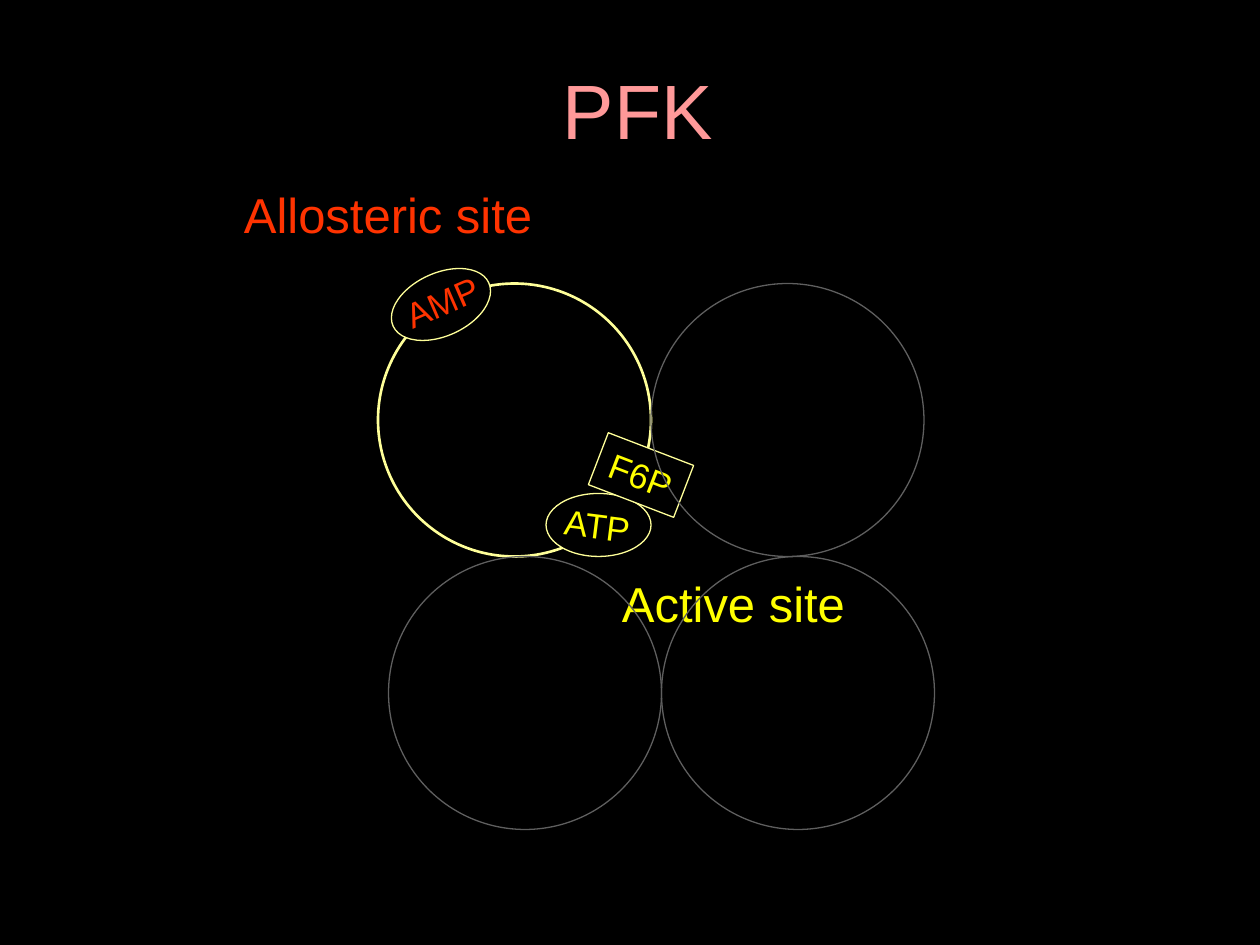
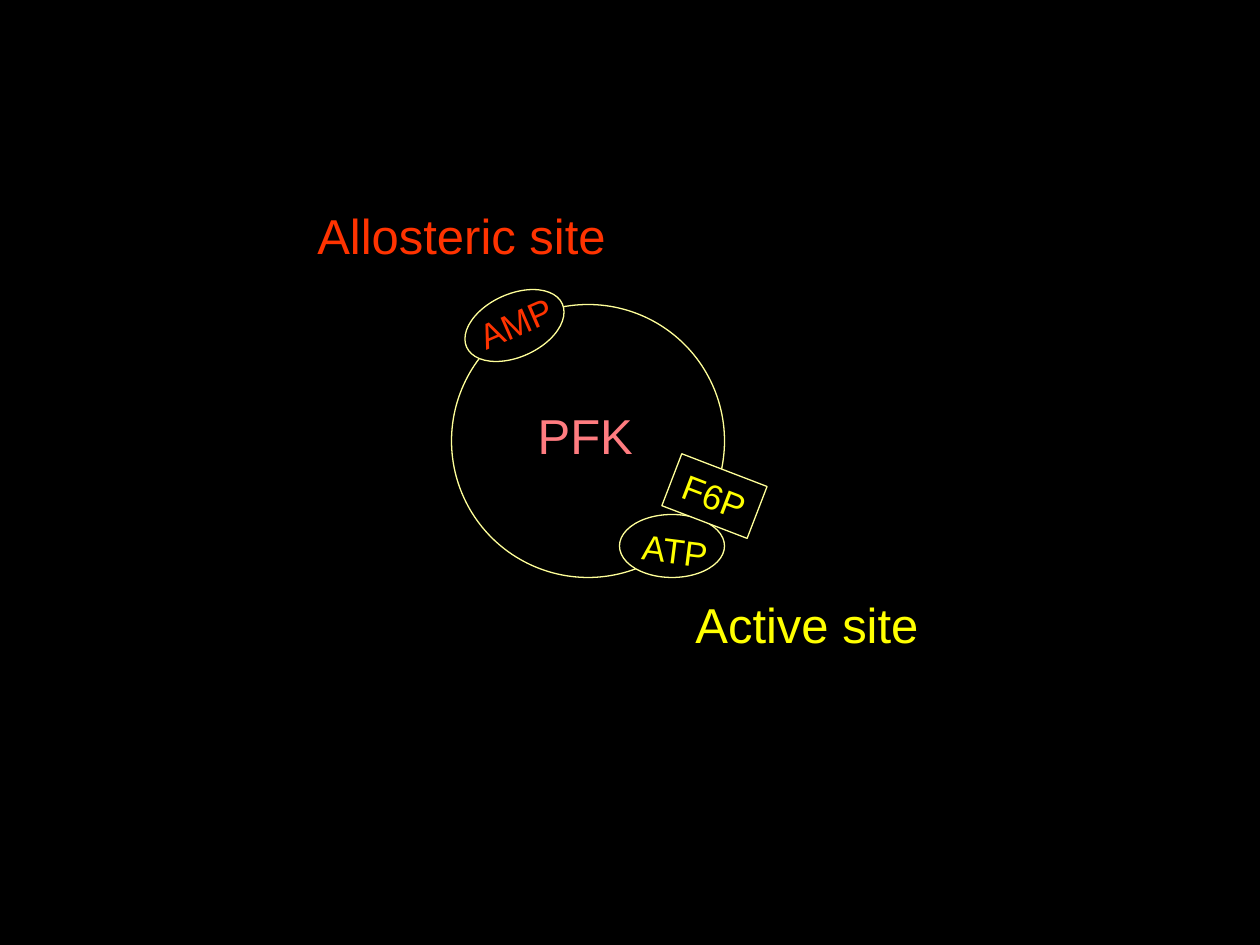
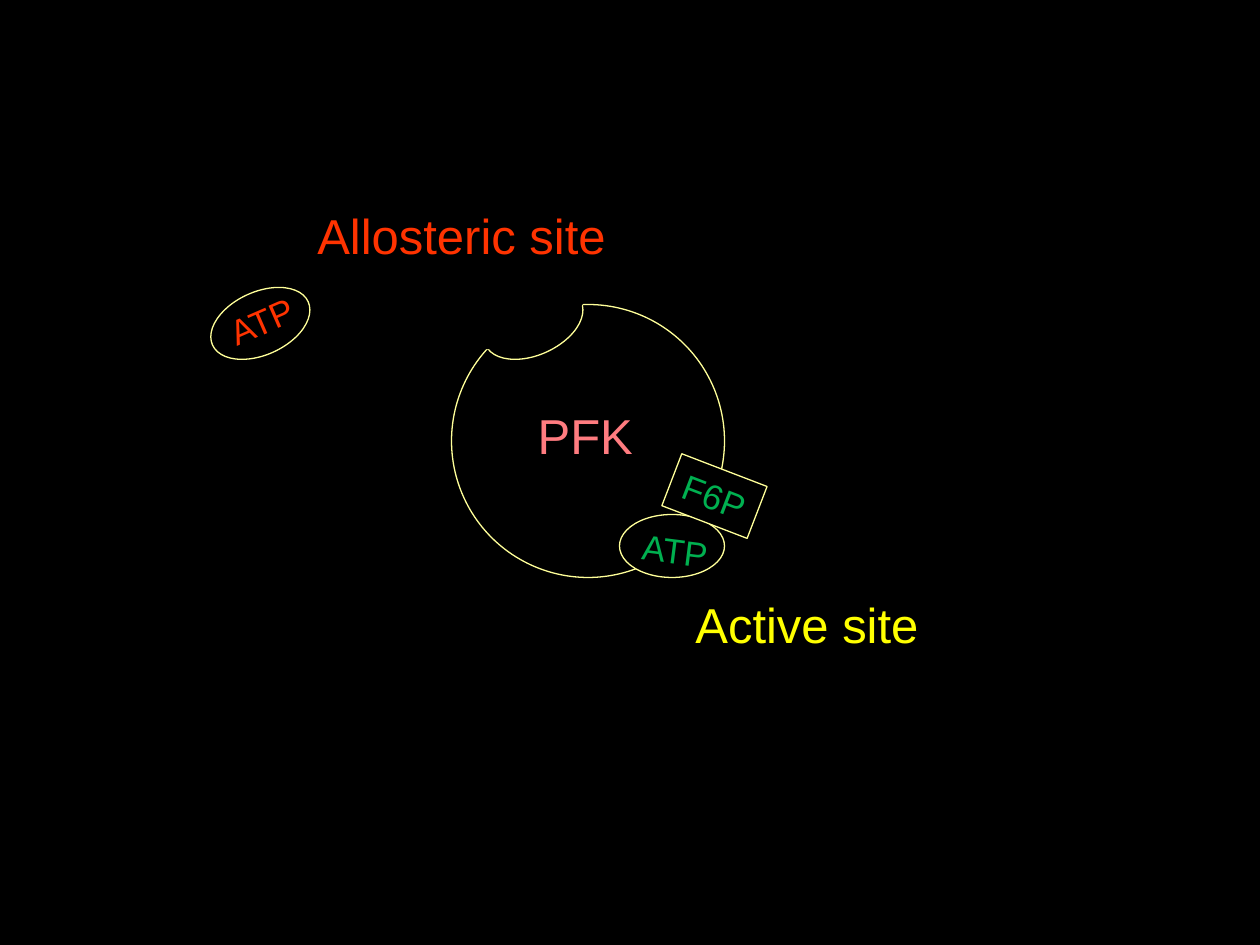
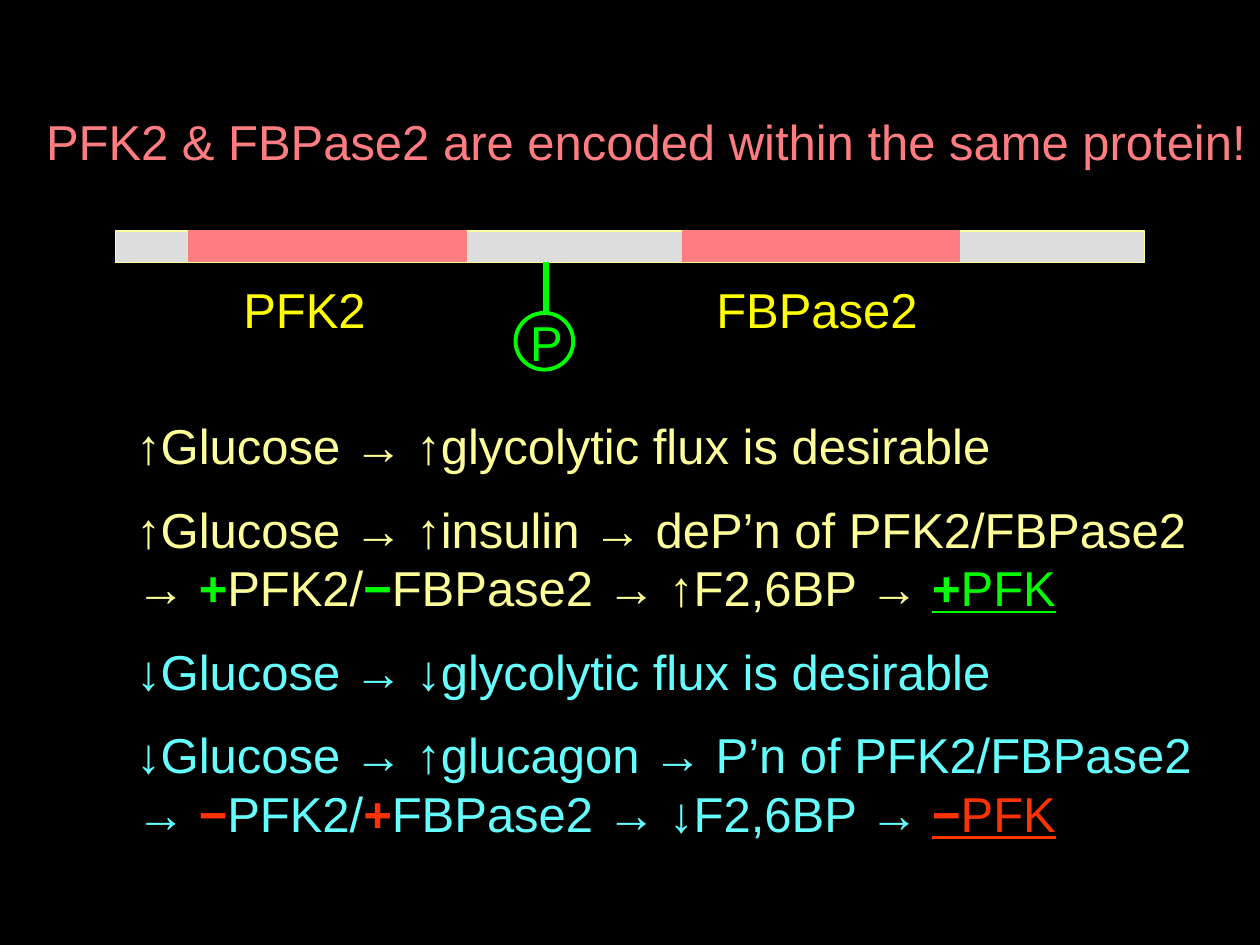
from dataclasses import dataclass

from lxml.etree import SubElement
from pptx import Presentation
from pptx.dml.color import RGBColor
from pptx.enum.shapes import MSO_CONNECTOR as Connector, MSO_SHAPE as Preset
from pptx.enum.text import MSO_AUTO_SIZE as AutoSize, PP_ALIGN as Align
from pptx.oxml.ns import qn
from pptx.util import Inches, Pt

SLIDE_WIDTH, SLIDE_HEIGHT = Inches(10), Inches(7.5)
COLUMNS, ROWS = 120, 90


@dataclass(frozen=True)
class Theme:
    font: str = "Arial"
    title_size: int = 44
    text_size: int = 28
    ligand_size: int = 20
    line_height: float = 6.8
    ligand_height: float = 5.2
    thin: float = 0.75
    bold: float = 1.5
    ring: float = 2.25
    stem: float = 3
    ground: str = "000000"
    outline: str = "FFFF99"
    neighbour: str = "5F5F5F"
    title: str = "FF9999"
    enzyme: str = "FF7C80"
    allosteric: str = "FF3300"
    active: str = "FFFF00"
    bound: str = "00B050"
    linker: str = "DDDDDD"
    phosphate: str = "00FF00"
    fed: str = "FFFF99"
    fasted: str = "66FFFF"


THEME = Theme()


@dataclass(frozen=True)
class Box:
    col: float
    row: float
    cols: float
    rows: float

    def inner(self, col, row, cols, rows):
        return Box(self.col + col, self.row + row, cols, rows)

    def emu(self):
        return (across(self.col), down(self.row), across(self.cols), down(self.rows))


@dataclass(frozen=True)
class Words:
    text: str
    color: str
    size: float = THEME.text_size
    bold: bool = False
    underline: bool = False


def across(cols):
    return round(SLIDE_WIDTH * cols / COLUMNS)


def down(rows):
    return round(SLIDE_HEIGHT * rows / ROWS)


def rgb(color):
    return RGBColor.from_string(color)


def add_words(paragraph, words):
    run = paragraph.add_run()
    run.text = words.text
    font = run.font
    font.name, font.size = THEME.font, Pt(words.size)
    font.bold, font.underline = words.bold, words.underline
    font.color.rgb = rgb(words.color)


def open_paragraph(paragraph, align):
    paragraph.alignment = align
    before = SubElement(paragraph._p.get_or_add_pPr(), qn("a:spcBef"))
    SubElement(before, qn("a:spcPct")).set("val", "50000")


def write_line(frame, words):
    frame.word_wrap = False
    frame.auto_size = AutoSize.SHAPE_TO_FIT_TEXT
    open_paragraph(frame.paragraphs[0], Align.CENTER)
    add_words(frame.paragraphs[0], words)


def label(shapes, box, words, turn=0):
    caption = shapes.add_textbox(*box.emu())
    caption.rotation = turn
    write_line(caption.text_frame, words)


def figure(shapes, preset, box, line, fill=None, weight=THEME.thin, turn=0):
    outline = shapes.add_shape(preset, *box.emu())
    outline.shadow.inherit = False
    outline.rotation = turn
    outline.line.color.rgb = rgb(line)
    outline.line.width = Pt(weight)
    if fill:
        outline.fill.solid()
        outline.fill.fore_color.rgb = rgb(fill)
    else:
        outline.fill.background()
    return outline


def allosteric_ligand(shapes, box, name, cols):
    figure(shapes, Preset.OVAL, box, THEME.outline, THEME.ground, turn=335.6)
    if name:
        label(shapes, box.inner(5.1 - cols / 2, 0.15, cols, THEME.ligand_height),
              Words(name, THEME.allosteric, THEME.ligand_size), 336.5)


def active_site(shapes, subunit, color, atp_shift):
    figure(shapes, Preset.OVAL, subunit.inner(16, 20, 10, 6), THEME.outline, THEME.ground)
    label(shapes, subunit.inner(16.4 + atp_shift, 20.4 + atp_shift, 9, THEME.ligand_height),
          Words("ATP", color, THEME.ligand_size), 7.2)
    f6p = figure(shapes, Preset.RECTANGLE, subunit.inner(20.7, 15.6, 8.7, 5.3),
                 THEME.outline, THEME.ground, turn=21)
    write_line(f6p.text_frame, Words("F6P", color, THEME.ligand_size))


def enzyme(shapes, subunit, weight=THEME.thin, color=THEME.active, amp=True, atp_shift=0.4):
    figure(shapes, Preset.OVAL, subunit, THEME.outline, weight=weight)
    if amp:
        allosteric_ligand(shapes, subunit.inner(1, -1, 10, 6), "AMP", 9.6)
    active_site(shapes, subunit, color, atp_shift)
    label(shapes, subunit.inner(22, 27, 23.7, THEME.line_height),
          Words("Active site", THEME.active))
    label(shapes, subunit.inner(-14, -10, 29.9, THEME.line_height),
          Words("Allosteric site", THEME.allosteric))


def enzyme_name(shapes, subunit):
    label(shapes, subunit.inner(7, 9, 11.5, THEME.line_height), Words("PFK", THEME.enzyme))


def tetramer_slide(shapes, subunit):
    size = subunit.cols
    enzyme(shapes, subunit, weight=THEME.bold, atp_shift=0)
    label(shapes, subunit.inner(16.4, -21.6, 16.7, 10),
          Words("PFK", THEME.title, THEME.title_size))
    for col, row in ((1, size), (size, 0), (size + 1, size)):
        figure(shapes, Preset.OVAL, subunit.inner(col, row, size, size), THEME.neighbour)


def activated_slide(shapes, subunit):
    enzyme(shapes, subunit)
    enzyme_name(shapes, subunit)


def released_slide(shapes, subunit):
    enzyme(shapes, subunit, color=THEME.bound, amp=False)
    enzyme_name(shapes, subunit)
    allosteric_ligand(shapes, subunit.inner(-23.2, -1.2, 10, 6), "ATP", 8.8)
    allosteric_ligand(shapes, subunit.inner(2.8, -1.2, 10, 6), None, 0)
    figure(shapes, Preset.OVAL, subunit.inner(0, -3.4, 13.7, 6.8),
           THEME.ground, THEME.ground, turn=335.6)


def phosphate(shapes, site):
    stem = shapes.add_connector(Connector.STRAIGHT, across(site.col), down(site.row),
                                across(site.col), down(site.row + 5))
    stem.line.color.rgb = rgb(THEME.phosphate)
    stem.line.width = Pt(THEME.stem)
    SubElement(stem._element.spPr, qn("a:effectLst"))
    badge = shapes.add_group_shape().shapes
    label(badge, site.inner(-2.7, 4.2, 5.5, THEME.line_height), Words("P", THEME.phosphate))
    figure(badge, Preset.OVAL, site.inner(-2.9, 4.8, 5.5, 5.4),
           THEME.phosphate, weight=THEME.ring)


def protein_map(shapes, protein):
    figure(shapes, Preset.RECTANGLE, protein, THEME.outline, THEME.linker)
    domains = (("PFK2", 7, 10.8, 14.4), ("FBPase2", 54, 55.9, 21.8))
    for name, start, name_col, name_cols in domains:
        figure(shapes, Preset.RECTANGLE, protein.inner(start, 0, 26.4, 2.9),
               THEME.enzyme, THEME.enzyme)
        label(shapes, protein.inner(name_col, 4, name_cols, THEME.line_height),
              Words(name, THEME.active))
    phosphate(shapes, protein.inner(41, 3, 0, 0))


def glucose_response(glucose, signal, kinase, phosphatase, color, accent):
    flux = [[Words(f"{glucose}Glucose → {glucose}glycolytic flux is desirable", color)]]
    cascade = [
        [Words(f"{glucose}Glucose → {signal} of PFK2/FBPase2", color)],
        [
            Words("→ ", color),
            Words(kinase, accent, bold=True),
            Words("PFK2/", color),
            Words(phosphatase, accent, bold=True),
            Words(f"FBPase2 → {glucose}F2,6BP → ", color),
            Words(kinase, accent, bold=True, underline=True),
            Words("PFK", accent, underline=True),
        ],
    ]
    return [flux, cascade]


def responses(shapes, box):
    frame = shapes.add_textbox(*box.emu()).text_frame
    frame.word_wrap = True
    frame.auto_size = AutoSize.SHAPE_TO_FIT_TEXT
    paragraphs = (
        glucose_response("↑", "↑insulin → deP’n", "+", "−", THEME.fed, THEME.phosphate)
        + glucose_response("↓", "↑glucagon → P’n", "−", "+", THEME.fasted, THEME.allosteric)
    )
    for order, lines in enumerate(paragraphs):
        paragraph = frame.add_paragraph() if order else frame.paragraphs[0]
        open_paragraph(paragraph, Align.LEFT)
        for number, line in enumerate(lines):
            if number:
                paragraph.add_line_break()
            for words in line:
                add_words(paragraph, words)


def bifunctional_slide(shapes, page):
    label(shapes, page.inner(3, 10, 117, THEME.line_height),
          Words("PFK2 & FBPase2 are encoded within the same protein!", THEME.enzyme))
    protein_map(shapes, page.inner(11, 22, 98, 3))
    responses(shapes, page.inner(11.8, 39, 108.2, 43.3))


def main():
    deck = Presentation()
    deck.slide_width, deck.slide_height = SLIDE_WIDTH, SLIDE_HEIGHT
    ground = deck.slide_master.background.fill
    ground.solid()
    ground.fore_color.rgb = rgb(THEME.ground)
    centred_subunit = Box(43, 29, 26, 26)
    pages = (
        (tetramer_slide, Box(36, 27, 26, 26)),
        (activated_slide, centred_subunit),
        (released_slide, centred_subunit),
        (bifunctional_slide, Box(0, 0, COLUMNS, ROWS)),
    )
    blank = deck.slide_layouts[6]
    for build, box in pages:
        build(deck.slides.add_slide(blank).shapes, box)
    deck.save("out.pptx")


if __name__ == "__main__":
    main()
